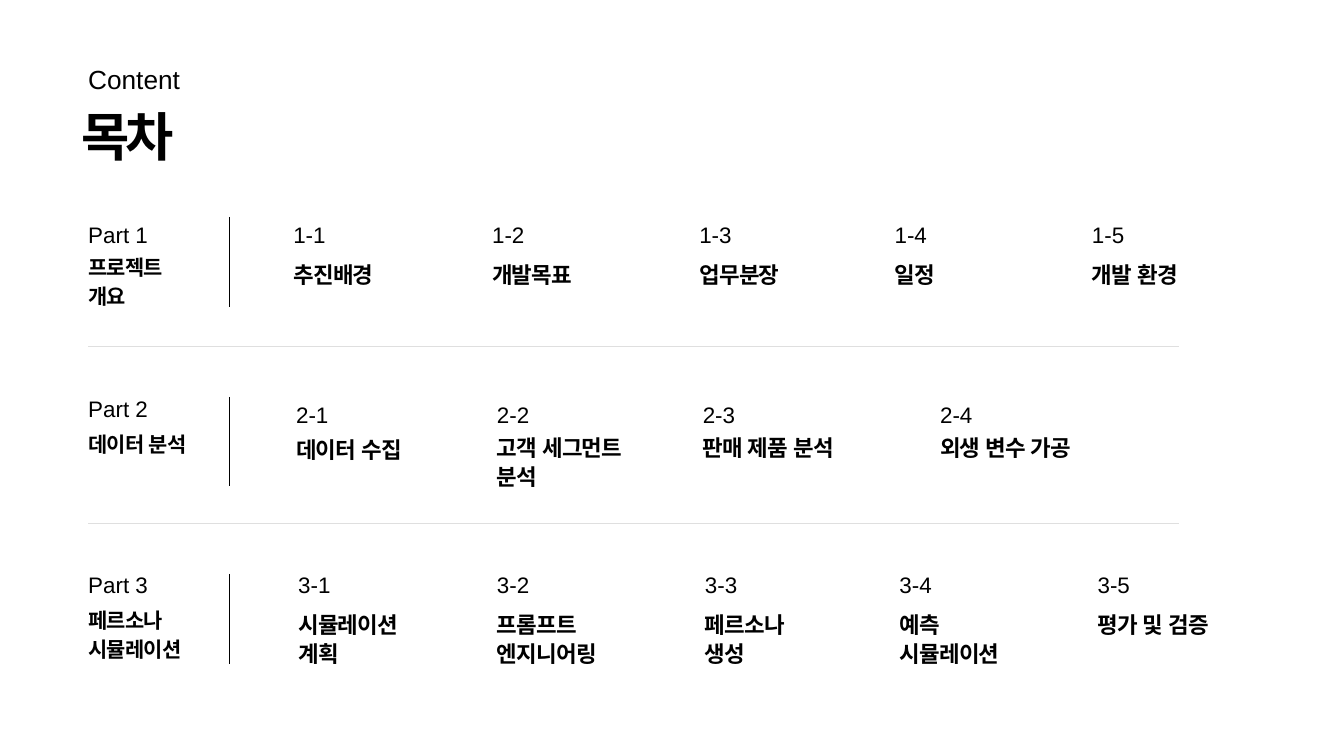
import pptx
import pptx.util
import pptx.dml.color
import pptx.enum.shapes
import pptx.enum.text
from lxml import etree

PX = pptx.util.Inches(1) // 96
BLACK = pptx.dml.color.RGBColor(0x00, 0x00, 0x00)
WHITE = pptx.dml.color.RGBColor(0xFF, 0xFF, 0xFF)
RULE_GREY = pptx.dml.color.RGBColor(0xDF, 0xDF, 0xDF)
FONT = "Arial"
A = "{http://schemas.openxmlformats.org/drawingml/2006/main}"

# size, line spacing and letter spacing in points
STYLES = {
    "label": dict(size=28.1, leading=39.4, bold=False, tracking=0),
    "title": dict(size=56.2, leading=59, bold=True, tracking=-3.8),
    "number": dict(size=24, leading=33.6, bold=False, tracking=0),
    "chapter": dict(size=22.4, leading=31.3, bold=True, tracking=-0.8),
    "topic": dict(size=24, leading=31.3, bold=True, tracking=-0.8),
}

LEFT, RIGHT = 126, 1684
DIVIDER_X, DIVIDER_HEIGHT = 328, 128
RULE_YS = (495, 748)

# Each topic: left, top, width, wording
CHAPTERS = [
    dict(top=310, name_top=358, divider_top=310, number_top=310, name="프로젝트\n개요",
         topics=[(419, 369, 310, "추진배경"), (703, 369, 310, "개발목표"),
                 (999, 369, 282, "업무분장"), (1278, 369, 210, "일정"),
                 (1560, 369, 210, "개발 환경")]),
    dict(top=558, name_top=610, divider_top=567, number_top=567, name="데이터 분석",
         topics=[(423, 619, 310, "데이터 수집"), (710, 617, 295, "고객 세그먼트\n분석"),
                 (1004, 617, 306, "판매 제품 분석"), (1343, 617, 306, "외생 변수 가공")]),
    dict(top=810, name_top=862, divider_top=820, number_top=810, name="페르소나\n시뮬레이션",
         topics=[(426, 869, 180, "시뮬레이션\n계획"), (710, 869, 203, "프롬프트\n엔지니어링"),
                 (1007, 869, 282, "페르소나\n생성"), (1285, 869, 210, "예측\n시뮬레이션"),
                 (1568, 869, 210, "평가 및 검증")]),
]


class ContentsSlide:
    def __init__(self, presentation):
        self.slide = presentation.slides.add_slide(presentation.slide_layouts[6])
        background = self.slide.background.fill
        background.solid()
        background.fore_color.rgb = WHITE

    def text(self, left, top, width, height, wording, style_name):
        """Add one paragraph for each line of the wording."""
        style = STYLES[style_name]
        box = self.slide.shapes.add_textbox(left * PX, top * PX, width * PX, height * PX)
        frame = box.text_frame
        frame_format = dict(margin_left=0, margin_top=0, margin_right=0, margin_bottom=0,
                            word_wrap=True,
                            auto_size=pptx.enum.text.MSO_AUTO_SIZE.SHAPE_TO_FIT_TEXT)
        for key, value in frame_format.items():
            setattr(frame, key, value)
        frame.text = wording
        font_format = dict(name=FONT, size=pptx.util.Pt(style["size"]), bold=style["bold"])
        for paragraph in frame.paragraphs:
            paragraph.line_spacing = pptx.util.Pt(style["leading"])
            for run in paragraph.runs:
                for key, value in font_format.items():
                    setattr(run.font, key, value)
                run.font.color.rgb = BLACK
                properties = run._r.get_or_add_rPr()
                properties.set("lang", "ko-KR")
                properties.set("spc", str(round(style["tracking"] * 100)))
                etree.SubElement(properties, A + "ea", typeface=FONT)

    def line(self, x1, y1, x2, y2, color):
        connector = self.slide.shapes.add_connector(
            pptx.enum.shapes.MSO_CONNECTOR.STRAIGHT, x1 * PX, y1 * PX, x2 * PX, y2 * PX)
        connector.line.color.rgb = color
        connector.line.width = pptx.util.Pt(0.75)
        etree.SubElement(connector._element.spPr, A + "effectLst")

    def chapter(self, index, chapter):
        """Add one row: chapter name, divider and numbered topics."""
        self.text(LEFT, chapter["top"], 113, 41, f"Part {index}", "number")
        self.text(LEFT, chapter["name_top"], 150, 80, chapter["name"], "chapter")
        self.line(DIVIDER_X, chapter["divider_top"],
                  DIVIDER_X, chapter["divider_top"] + DIVIDER_HEIGHT, BLACK)
        for number, (left, top, width, topic) in enumerate(chapter["topics"], start=1):
            self.text(left, chapter["number_top"], 105, 41, f"{index}-{number}", "number")
            self.text(left, top, width, 40 * len(topic.split("\n")), topic, "topic")


def main():
    presentation = pptx.Presentation()
    presentation.slide_width = 1920 * PX
    presentation.slide_height = 1080 * PX
    contents = ContentsSlide(presentation)
    contents.text(LEFT, 83, 393, 48, "Content", "label")
    contents.text(116, 160, 726, 81, "목차", "title")
    for index, chapter in enumerate(CHAPTERS, start=1):
        contents.chapter(index, chapter)
    for y in RULE_YS:
        contents.line(LEFT, y, RIGHT, y, RULE_GREY)
    presentation.save("out.pptx")


if __name__ == "__main__":
    main()
